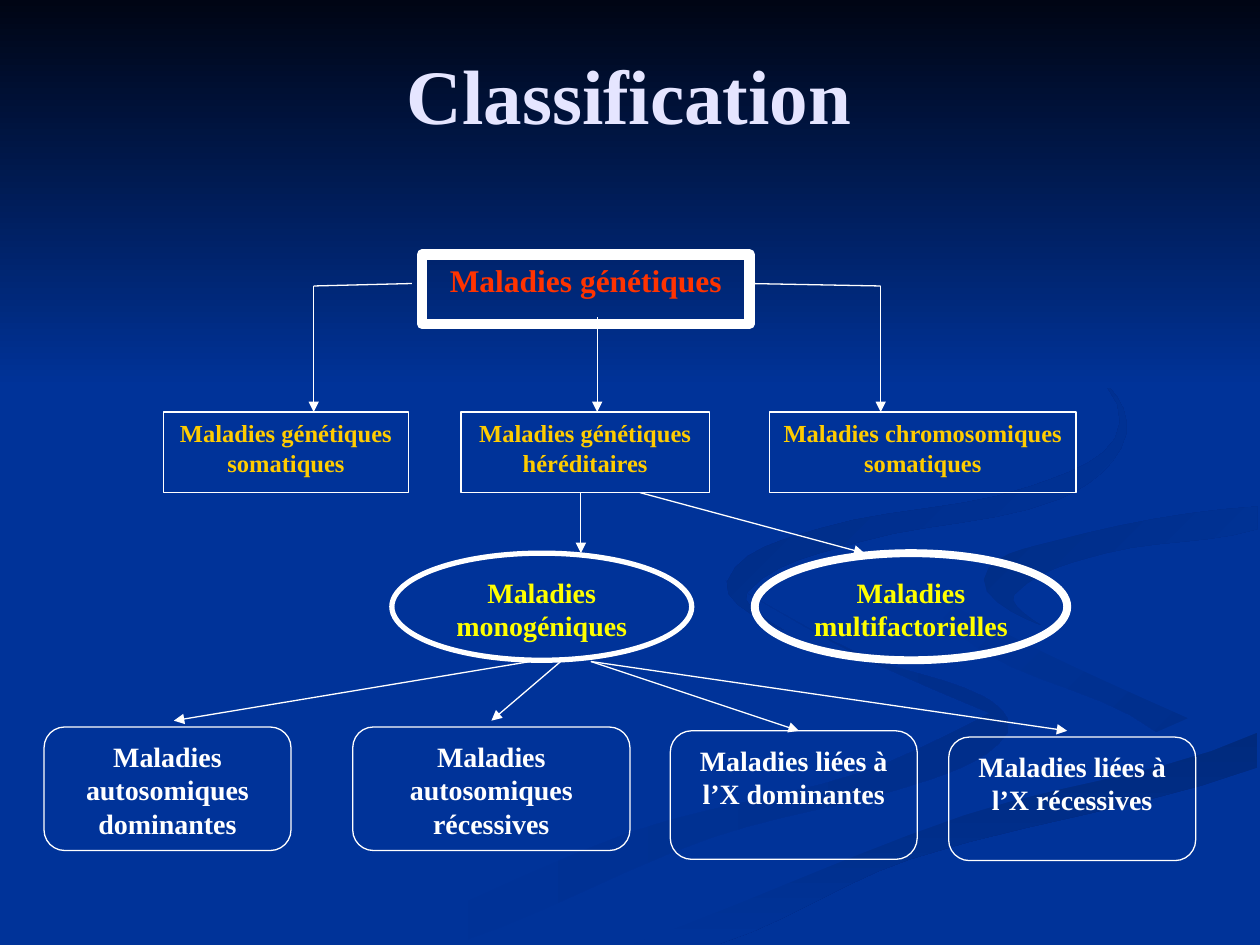
from dataclasses import dataclass

from lxml import etree
from pptx import Presentation
from pptx import util as u
from pptx.dml.color import RGBColor
from pptx.enum import shapes, text
from pptx.oxml.ns import qn


@dataclass(frozen=True)
class Theme:
    font: str = "Times New Roman"
    back: str = "003399"
    night: str = "000514"
    line: str = "FFFFFF"
    title: str = "E5E5FF"
    root: str = "FF3300"
    group: str = "FFCC00"
    kind: str = "FFFF00"
    mode: str = "FFFFFF"
    title_pt: float = 44
    root_pt: float = 18
    group_pt: float = 14
    body_pt: float = 16
    thin_pt: float = 0.75


@dataclass(frozen=True)
class Node:
    label: str
    left: float
    top: float
    width: float
    height: float
    geometry: shapes.MSO_SHAPE
    color: str
    size: float
    border: float = 0.75


@dataclass(frozen=True)
class Link:
    x1: float
    y1: float
    x2: float
    y2: float
    arrow: bool = True


@dataclass(frozen=True)
class Swirl:
    points: tuple
    start: str
    end: str
    angle: int = 0


T = Theme()
RECT, OVAL, ROUND = (shapes.MSO_SHAPE.RECTANGLE, shapes.MSO_SHAPE.OVAL,
                     shapes.MSO_SHAPE.ROUNDED_RECTANGLE)
ROW2, ROW2_END, ROW3, ROW3_END = 3.27, 3.91, 4.39, 5.25

# Background ribbons, from back to front: key points that a curve joins
SWIRLS = [
    Swirl(((7.81, 5.53), (6.82, 5.19), (5.75, 4.6), (6.79, 5.19), (7.86, 5.66), (6.84, 6.13),
           (4.99, 6.61), (3, 7.49), (3.61, 7.49), (5.64, 6.65), (7.4, 6.18), (8, 5.81)),
          T.back, "002E8B"),
    Swirl(((9.43, 5.7), (8.5, 5.24), (7.24, 4.64), (7.81, 5.18), (9.18, 5.81), (8.94, 6.05)),
          T.back, "002E8B", 45),
    Swirl(((5.03, 7.49), (5.71, 7.49), (7.22, 6.82), (9.98, 6.09), (9.98, 5.81), (7.64, 6.47)),
          "002A7D", T.back, 90),
    Swirl(((7.25, 4.64), (8.31, 5.19), (9.43, 5.7), (8.13, 6.25), (4.77, 7.49), (5.03, 7.49),
           (7.65, 6.47), (9.99, 5.81), (9.99, 5.38), (8.48, 5.03), (7.82, 4.6), (8.5, 4.27),
           (9.99, 4.02), (9.99, 3.87), (8.08, 4.17)), T.back, T.back),
    Swirl(((7.81, 4.6), (8.26, 4.96), (8.05, 4.72), (8.78, 4.39), (9.98, 4.2), (9.98, 4.02),
           (8.35, 4.3)), "002D86", T.back, 45),
    Swirl(((7.62, 2.33), (8.64, 2.91), (8.94, 3.44), (8.41, 3.96), (6.83, 4.3), (5.93, 4.7),
           (6.22, 5), (5.77, 4.62), (6.49, 4.2), (8.18, 3.86), (8.89, 3.35), (8.26, 2.66)),
          "002B82", T.back, 45),
]

# Classification tree, one level after another
NODES = [
    Node("Maladies génétiques", 3.35, 2.02, 2.6, 0.55, RECT, T.root, T.root_pt, 6),
    *(Node(label, left, ROW2, width, 0.64, RECT, T.group, T.group_pt)
      for label, left, width in (("Maladies génétiques\nsomatiques", 1.3, 1.94),
                                 ("Maladies génétiques\nhéréditaires", 3.66, 1.97),
                                 ("Maladies chromosomiques\nsomatiques", 6.11, 2.43))),
    *(Node(label, left, ROW3, width, 0.85, OVAL, T.kind, T.body_pt, border)
      for label, left, width, border in (("Maladies monogéniques", 3.11, 2.38, 3),
                                         ("Maladies multifactorielles", 5.99, 2.48, 4.5))),
    *(Node(label, left, top, width, height, ROUND, T.mode, T.body_pt)
      for label, left, top, width, height in (
          ("Maladies autosomiques dominantes", 0.35, 5.77, 1.96, 0.98),
          ("Maladies autosomiques récessives", 2.8, 5.77, 2.2, 0.98),
          ("Maladies liées à l’X dominantes", 5.32, 5.8, 1.96, 1.02),
          ("Maladies liées à l’X récessives", 7.53, 5.85, 1.96, 0.98))),
]

LINKS = [
    *(Link(x1, 2.25, x2, 2.27, arrow=False) for x1, x2 in ((3.27, 2.49), (5.94, 6.99))),
    *(Link(x, y, x, ROW2) for x, y in ((2.49, 2.27), (6.99, 2.27), (4.74, 2.52))),
    *(Link(x1, ROW2_END, x2, ROW3) for x1, x2 in ((4.61, 4.61), (5.08, 6.86))),
    *(Link(x1, ROW3_END, x2, y2) for x1, x2, y2 in ((4.21, 1.38, 5.72), (4.45, 3.9, 5.72),
                                                    (4.69, 6.34, 5.8), (4.69, 8.47, 5.8))),
]


def rgb(color: str) -> RGBColor:
    return RGBColor.from_string(color)


def write(tf, words: str, *, size: float, color: str, anchor=text.MSO_ANCHOR.TOP) -> None:
    tf.word_wrap = True
    tf.vertical_anchor = anchor
    for i, line in enumerate(words.split("\n")):
        p = tf.add_paragraph() if i else tf.paragraphs[0]
        p.alignment = text.PP_ALIGN.CENTER
        r = p.add_run()
        r.text = line
        r.font.name, r.font.size, r.font.bold = T.font, u.Pt(size), True
        r.font.color.rgb = rgb(color)


def paint(sp, start: str, end: str, angle: int) -> None:
    sp.shadow.inherit = False
    sp.line.fill.background()
    sp.fill.gradient()
    sp.fill.gradient_angle = (360 - angle) % 360  # counted anticlockwise
    for position, (stop, color) in enumerate(zip(sp.fill.gradient_stops, (start, end))):
        stop.color.rgb = rgb(color)
        stop.position = position


def heading(before: complex, here: complex, after: complex) -> complex:
    """Unit direction of the curve at a key point, or 0 at a sharp tip."""
    a, b = here - before, after - here
    cosine = (a * b.conjugate()).real / abs(a) / abs(b)
    return 0j if cosine < -0.5 else (a + b) / abs(a + b)


def curve(points: tuple, steps: int = 6) -> list[tuple]:
    """Closed smooth outline kept inside the bounds of its key points."""
    keys = [complex(x, y) for x, y in points]
    n = len(keys)
    ways = [heading(keys[i - 1], keys[i], keys[(i + 1) % n]) for i in range(n)]
    (left, right), (top, bottom) = ((min(v), max(v)) for v in zip(*points))
    outline = []
    for i in range(n):
        j = (i + 1) % n
        reach = abs(keys[j] - keys[i]) / 3
        a, b = keys[i] + ways[i] * reach, keys[j] - ways[j] * reach
        for k in range(steps):
            t = k / steps
            q = 1 - t
            z = q**3 * keys[i] + 3 * q * q * t * a + 3 * q * t * t * b + t**3 * keys[j]
            outline.append((u.Inches(min(max(z.real, left), right)),
                            u.Inches(min(max(z.imag, top), bottom))))
    return outline


def draw_swirl(s, swirl: Swirl) -> None:
    first, *rest = curve(swirl.points)
    builder = s.shapes.build_freeform(*first)
    builder.add_line_segments(rest, close=True)
    paint(builder.convert_to_shape(), swirl.start, swirl.end, swirl.angle)


def draw_node(s, node: Node) -> None:
    box = (u.Inches(v) for v in (node.left, node.top, node.width, node.height))
    sp = s.shapes.add_shape(node.geometry, *box)
    sp.shadow.inherit = False
    sp.fill.background()
    sp.line.color.rgb = rgb(T.line)
    sp.line.width = u.Pt(node.border)
    write(sp.text_frame, node.label, size=node.size, color=node.color)


def draw_link(s, link: Link) -> None:
    ends = (u.Inches(v) for v in (link.x1, link.y1, link.x2, link.y2))
    sp = s.shapes.add_connector(shapes.MSO_CONNECTOR.STRAIGHT, *ends)
    sp.line.color.rgb = rgb(T.line)
    sp.line.width = u.Pt(T.thin_pt)
    if link.arrow:
        etree.SubElement(sp.line._get_or_add_ln(), qn("a:tailEnd"), type="triangle")
    etree.SubElement(sp._element.spPr, qn("a:effectLst"))


def main() -> None:
    prs = Presentation()
    prs.slide_width, prs.slide_height = u.Inches(10), u.Inches(7.5)
    s = prs.slides.add_slide(prs.slide_layouts[6])

    # Background
    s.background.fill.solid()
    s.background.fill.fore_color.rgb = rgb(T.back)
    for swirl in SWIRLS:
        draw_swirl(s, swirl)
    sky = s.shapes.add_shape(RECT, 0, 0, prs.slide_width, u.Inches(3.08))
    paint(sky, T.night, T.back, 90)

    # Tree
    for node in NODES:
        draw_node(s, node)
    for link in LINKS:
        draw_link(s, link)

    # Title
    sp = s.shapes.add_textbox(u.Inches(2.87), u.Inches(0.36), u.Inches(4.25), u.Inches(0.77))
    write(sp.text_frame, "Classification", size=T.title_pt, color=T.title,
          anchor=text.MSO_ANCHOR.MIDDLE)
    prs.save("out.pptx")


if __name__ == "__main__":
    main()
